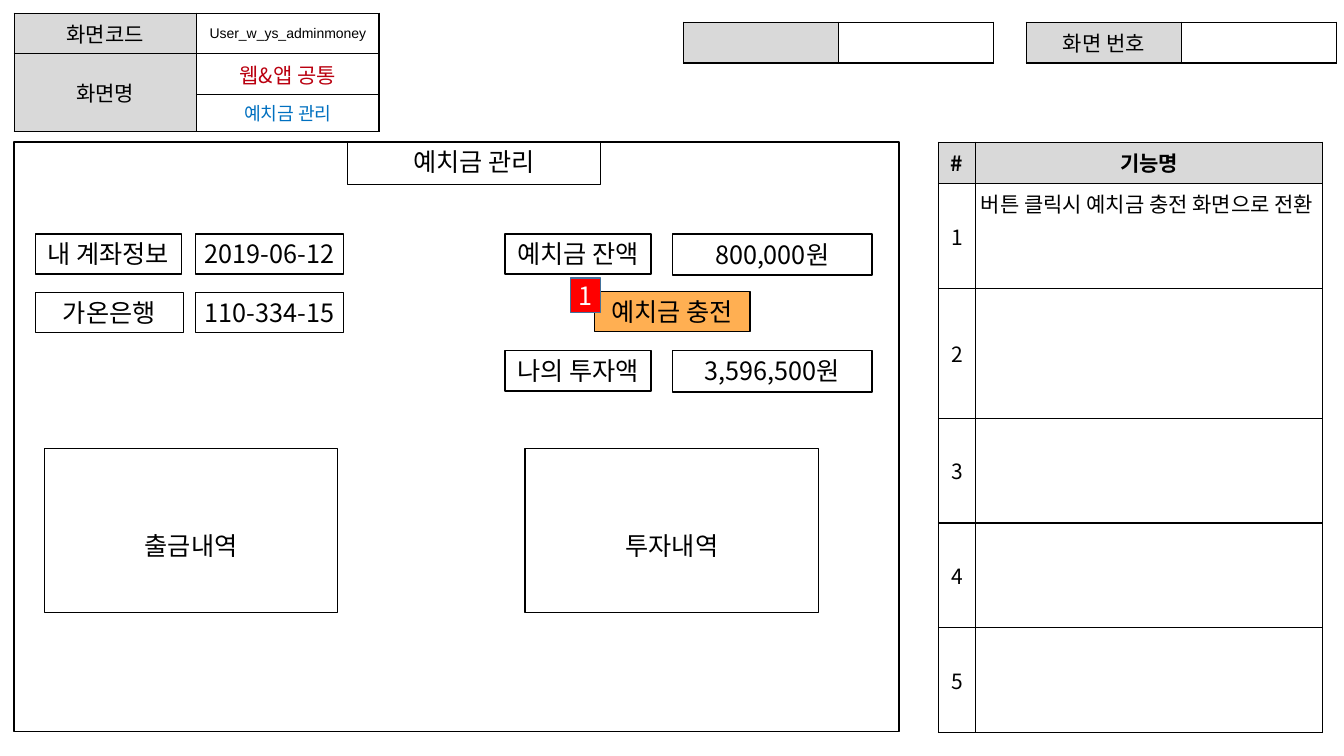
"""Build the wireframe slide for the deposit management screen."""
from dataclasses import dataclass, field
from typing import Any

from lxml import etree
from pptx import Presentation
from pptx import util as u
from pptx.dml.color import RGBColor
from pptx.enum import shapes, text
from pptx.oxml import ns

STEP = 0.1
COLS, ROWS = 133.33, 75


@dataclass(frozen=True)
class Theme:
    ink: str = "000000"
    white: str = "FFFFFF"
    head: str = "D9D9D9"
    wine: str = "BA0010"
    blue: str = "0070C0"
    gold: str = "FFAF52"
    red: str = "FF0000"
    steel: str = "42719B"
    font: str = "Noto Sans CJK KR"
    code: str = "Arial"
    big: int = 18
    mid: int = 15
    small: int = 13
    tiny: int = 10


T = Theme()
PAD = 0.5


@dataclass(frozen=True)
class Cell:
    words: str = ""
    fill: str = T.white
    size: int = T.mid
    ink: str = T.ink
    font: str = T.font
    bold: bool = False
    left: bool = False
    pad: float = PAD


@dataclass(frozen=True)
class Grid:
    x: float
    y: float
    cols: list[float]
    rows: list[float]
    cells: list[list[Cell]]
    merge: tuple[int, int, int, int] | None = None


@dataclass(frozen=True)
class Box:
    x: float
    y: float
    w: float
    h: float
    words: str = ""
    fill: str | None = None
    line: str = T.ink
    width: float = 1
    ink: str = T.ink
    top: float = PAD
    side: float = PAD
    form: dict[str, Any] = field(default_factory=dict)


def span(n: float) -> u.Emu:
    """Turn grid steps into a length."""
    return u.Inches(n * STEP)


def apply(item: Any, form: dict[str, Any]) -> None:
    """Set each named value on the item."""
    for name, value in form.items():
        setattr(item, name, value)


def write(frame: Any, words: str, size: int, ink: str, font: str = T.font,
          bold: bool = False, left: bool = False) -> None:
    """Write one styled paragraph."""
    para = frame.paragraphs[0]
    para.alignment = text.PP_ALIGN.LEFT if left else text.PP_ALIGN.CENTER
    run = para.add_run()
    run.text = words
    apply(run.font, {"size": u.Pt(size), "bold": bold, "name": font})
    run.font.color.rgb = RGBColor.from_string(ink)
    etree.SubElement(run._r.get_or_add_rPr(), ns.qn("a:ea"), typeface=font)


def edge(cell: Any) -> None:
    """Give a table cell its four borders."""
    props = cell._tc.get_or_add_tcPr()
    for side in ("lnL", "lnR", "lnT", "lnB"):
        line = etree.SubElement(props, ns.qn(f"a:{side}"), w=str(u.Pt(1)))
        fill = etree.SubElement(line, ns.qn("a:solidFill"))
        etree.SubElement(fill, ns.qn("a:srgbClr"), val=T.ink)


def draw_grid(slide: Any, grid: Grid) -> None:
    """Draw one table."""
    table = slide.shapes.add_table(
        len(grid.rows), len(grid.cols), span(grid.x), span(grid.y),
        span(sum(grid.cols)), span(sum(grid.rows))).table
    apply(table, {"first_row": False, "horz_banding": False})
    for col, w in zip(table.columns, grid.cols):
        col.width = span(w)
    for row, h in zip(table.rows, grid.rows):
        row.height = span(h)
    for r, line in enumerate(grid.cells):
        for c, data in enumerate(line):
            cell = table.cell(r, c)
            edge(cell)
            cell.fill.solid()
            cell.fill.fore_color.rgb = RGBColor.from_string(data.fill)
            pad = span(data.pad if data.words else 0)
            apply(cell, {f"margin_{s}": pad for s in ("left", "right", "top", "bottom")})
            cell.vertical_anchor = (text.MSO_ANCHOR.TOP if data.left
                                    else text.MSO_ANCHOR.MIDDLE)
            if data.words:
                write(cell.text_frame, data.words, data.size, data.ink,
                      data.font, data.bold, data.left)
    if grid.merge:
        a, b, c, d = grid.merge
        table.cell(a, b).merge(table.cell(c, d))


def draw_box(slide: Any, box: Box) -> None:
    """Draw one rectangle with its label."""
    shape = slide.shapes.add_shape(
        shapes.MSO_SHAPE.RECTANGLE, span(box.x), span(box.y), span(box.w), span(box.h))
    shape.shadow.inherit = False
    if box.fill:
        shape.fill.solid()
        shape.fill.fore_color.rgb = RGBColor.from_string(box.fill)
    else:
        shape.fill.background()
    shape.line.color.rgb = RGBColor.from_string(box.line)
    shape.line.width = u.Pt(box.width)
    if box.words:
        frame = shape.text_frame
        apply(frame, {"margin_left": span(box.side), "margin_right": span(box.side),
                      "margin_top": span(box.top), "margin_bottom": span(PAD),
                      "word_wrap": True} | box.form)
        write(frame, box.words, T.big, box.ink)


GROW = {"auto_size": text.MSO_AUTO_SIZE.SHAPE_TO_FIT_TEXT,
        "vertical_anchor": text.MSO_ANCHOR.TOP}
TAG = GROW | {"word_wrap": False}
MID = {"vertical_anchor": text.MSO_ANCHOR.MIDDLE}
BANK = GROW | MID

GRIDS = [
    Grid(1.4, 1.3, [18.1] * 2, [4, 4, 3.7], [
        [Cell("화면코드", T.head),
         Cell("User_w_ys_adminmoney", size=T.tiny, font=T.code, pad=0.1)],
        [Cell("화면명", T.head), Cell("웹&앱 공통", ink=T.wine)],
        [Cell(fill=T.head), Cell("예치금 관리", size=T.small, ink=T.blue)],
    ], (1, 0, 2, 0)),
    *(Grid(x, 2.2, [15.4] * 2, [4.05], [[Cell(words, T.head), Cell()]])
      for x, words in ((101.8, "화면 번호"), (67.8, ""))),
    Grid(93.1, 14.1, [3.7, 34.4], [4.1, 10.4, 12.9] + [10.4] * 3, [
        [Cell(words, T.head, bold=True) for words in ("#", "기능명")],
        [Cell("1"), Cell("버튼 클릭시 예치금 충전 화면으로 전환", left=True)],
        *([Cell(str(n)), Cell()] for n in range(2, 6)),
    ]),
]

BOXES = [
    Box(1.4, 14.1, 87.8, 58.5, fill=T.white),
    Box(34.5, 14, 25.1, 4.3, "예치금 관리", width=0.75, form=GROW),
    *(Box(x, y, 14.5, 4, words, form=TAG) for x, y, words in (
        (3.5, 23.2, "내 계좌정보"), (50.1, 23.2, "예치금 잔액"),
        (50.1, 34.8, "나의 투자액"))),
    Box(19.4, 23.2, 14.7, 4, "2019-06-12", form=GROW),
    *(Box(66.7, y, 19.8, 4.1, words, form=GROW)
      for y, words in ((23.2, "800,000원"), (34.8, "3,596,500원"))),
    *(Box(x, 29, 14.7, 4, words, T.white, form=BANK)
      for x, words in ((19.4, "110-334-15"), (3.5, "가온은행"))),
    *(Box(x, 44.5, 29.1, 16.3, words, top=3.4, form=MID)
      for x, words in ((4.4, "출금내역"), (52.1, "투자내역"))),
    Box(59, 28.9, 15.4, 4, "예치금 충전", T.gold, form=GROW),
    Box(56.6, 27.6, 3, 3.4, "1", T.red, T.steel, ink=T.white, side=0, form=MID),
]


def main() -> None:
    """Build and save the slide."""
    deck = Presentation()
    apply(deck, {"slide_width": span(COLS), "slide_height": span(ROWS)})
    slide = deck.slides.add_slide(deck.slide_layouts[6])
    for grid in GRIDS:
        draw_grid(slide, grid)
    for box in BOXES:
        draw_box(slide, box)
    deck.save("out.pptx")


if __name__ == "__main__":
    main()
